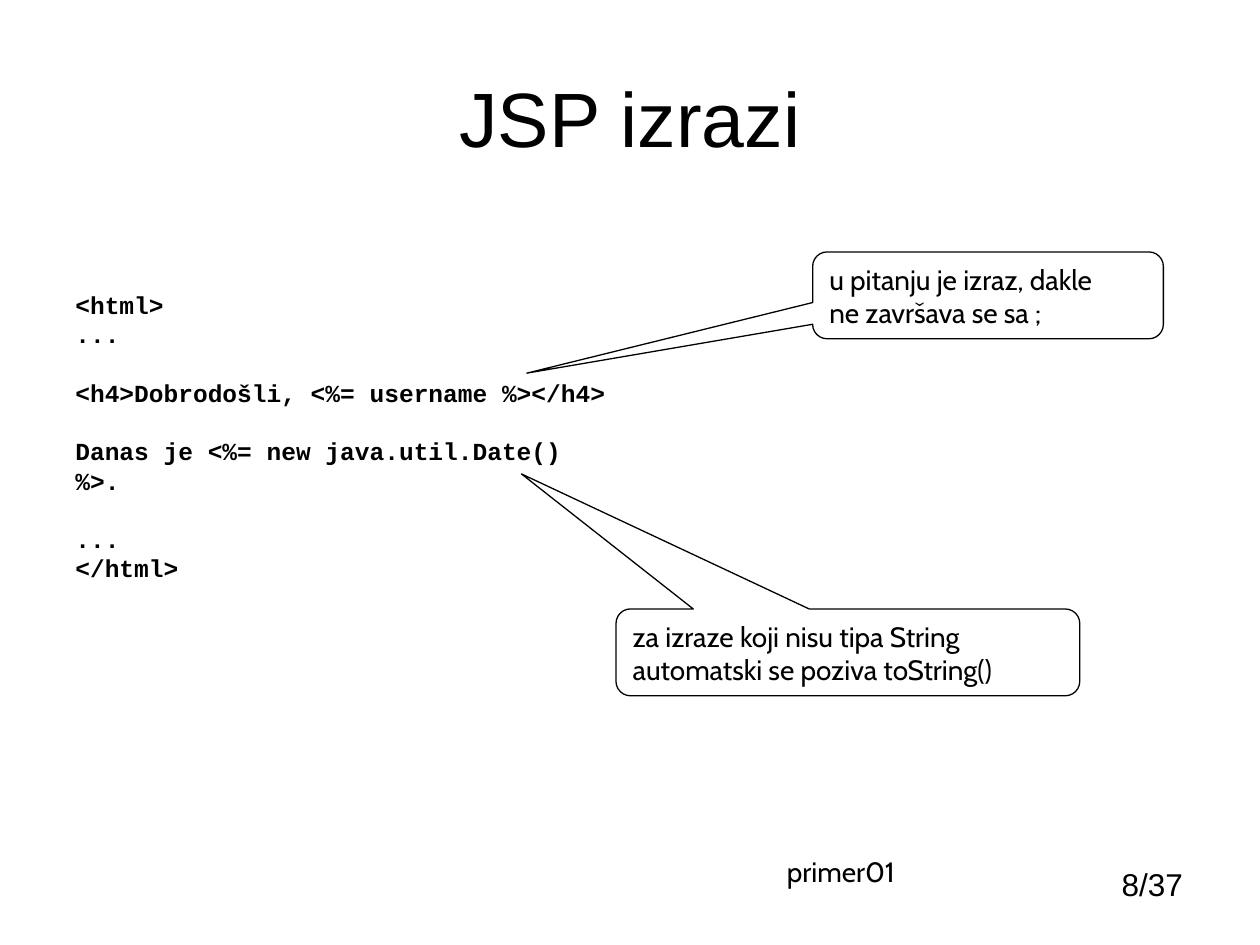
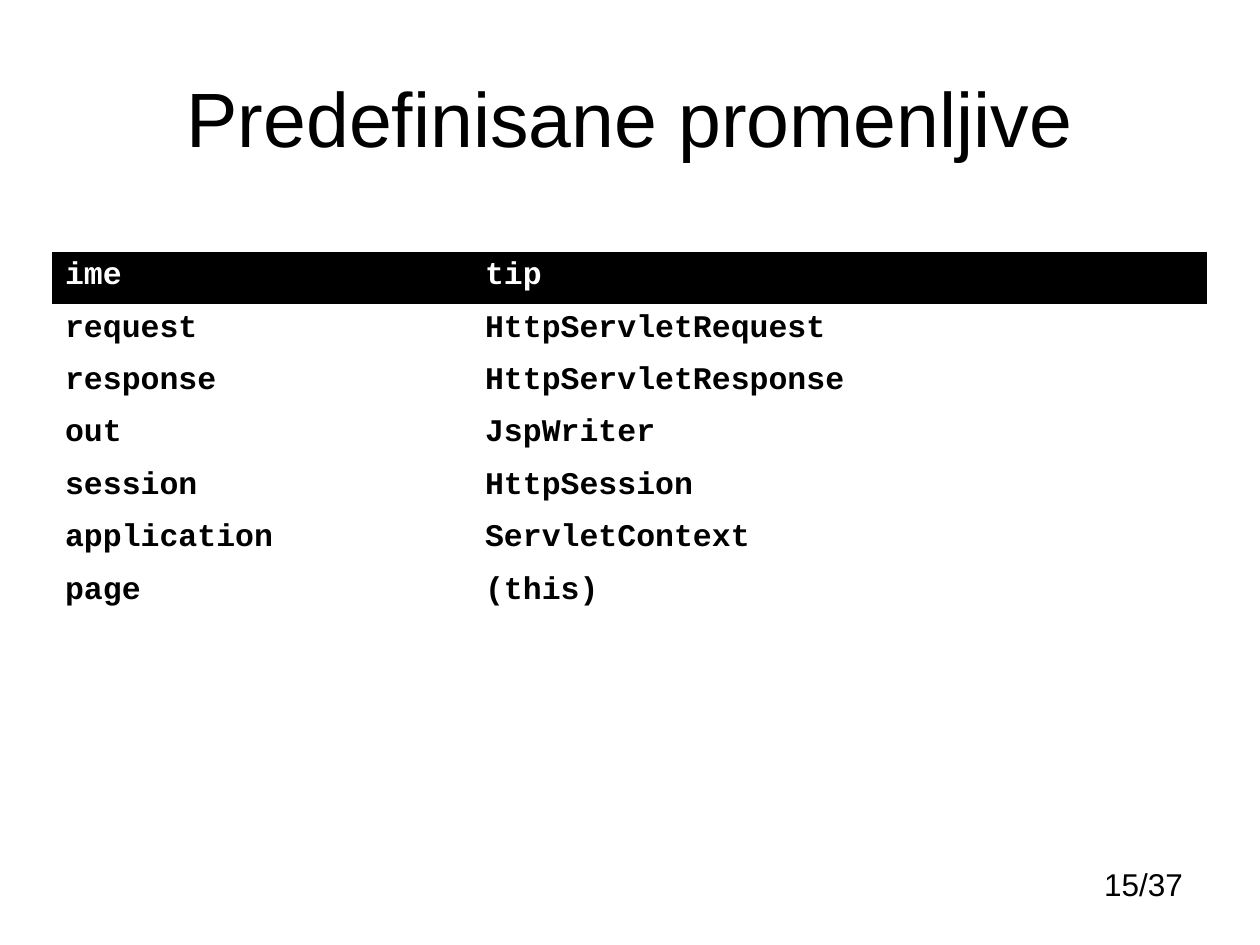
from pptx import Presentation
from pptx.dml.color import RGBColor
from pptx.enum.shapes import MSO_SHAPE
from pptx.enum.text import MSO_ANCHOR, PP_ALIGN
from pptx.util import Pt

BLACK, WHITE = "000000", "FFFFFF"
SANS, HAND, MONO = "Arial", "Cabin", "Courier New"
NO_STYLE_NO_GRID = "{2D5ABB26-0587-4C30-8999-92F81FD0307C}"


def color(hex_string):
    return RGBColor.from_string(hex_string)


def write(frame, lines, font, size, ink=BLACK, bold=False, align=PP_ALIGN.LEFT):
    frame.text = "\n".join(lines)
    frame.word_wrap = True
    for paragraph in frame.paragraphs:
        paragraph.alignment = align
        paragraph.font.name = font
        paragraph.font.size = Pt(size)
        paragraph.font.bold = bold
        paragraph.font.color.rgb = color(ink)


presentation = Presentation()
presentation.slide_width, presentation.slide_height = Pt(720), Pt(540)
title_only = presentation.slide_layouts[5]

# Titles and page numbers
slides = []
for title_text, page in [("JSP izrazi", "8/37"), ("Predefinisane promenljive", "15/37")]:
    slide = presentation.slides.add_slide(title_only)
    title = slide.shapes.title
    title.left, title.top, title.width, title.height = Pt(36), Pt(21.6), Pt(648), Pt(90)
    title.text_frame.vertical_anchor = MSO_ANCHOR.MIDDLE
    write(title.text_frame, [title_text], SANS, 44, align=PP_ALIGN.CENTER)
    page_box = slide.shapes.add_textbox(Pt(547), Pt(491), Pt(136), Pt(29))
    write(page_box.text_frame, [page], SANS, 18, align=PP_ALIGN.RIGHT)
    slides.append(slide)
expressions, variables = slides

# Code listing, with a line's gap before each new group
code_groups = [
    ["<html>", "..."],
    ["<h4>Dobrodošli, <%= username %></h4>"],
    ["Danas je <%= new java.util.Date() %>."],
    ["...", "</html>"],
]
line_height = Pt(16.75)
code_box = expressions.shapes.add_textbox(Pt(36), Pt(162), Pt(324), Pt(162))
code = code_box.text_frame
write(code, [line for group in code_groups for line in group], MONO, 14, bold=True)
code.word_wrap = False
for paragraph in code.paragraphs:
    paragraph.line_spacing = line_height
first_line = 0
for group in code_groups[:-1]:
    first_line += len(group)
    code.paragraphs[first_line].space_before = line_height

# Callouts: left, top, width, pointer position, lines
callouts = [
    (464.4, 144, 200.4, (-1.315, 0.896),
     ["u pitanju je izraz, dakle", "ne završava se sa ;"]),
    (352, 348, 265, (-0.704, -2.056),
     ["za izraze koji nisu tipa String", "automatski se poziva toString()"]),
]
for left, top, width, pointer, lines in callouts:
    callout = expressions.shapes.add_shape(
        MSO_SHAPE.ROUNDED_RECTANGULAR_CALLOUT, Pt(left), Pt(top), Pt(width), Pt(49.6))
    callout.adjustments[0], callout.adjustments[1] = pointer
    callout.shadow.inherit = False
    callout.fill.background()
    callout.line.color.rgb = color(BLACK)
    callout.line.width = Pt(0.75)
    callout.text_frame.vertical_anchor = MSO_ANCHOR.TOP
    write(callout.text_frame, lines, HAND, 16)

# Example name
example_box = expressions.shapes.add_textbox(Pt(442.6), Pt(484.6), Pt(83.5), Pt(26.6))
write(example_box.text_frame, ["primer01"], HAND, 16)

# Table of predefined variables
rows = [
    ("ime", "tip"),
    ("request", "HttpServletRequest"),
    ("response", "HttpServletResponse"),
    ("out", "JspWriter"),
    ("session", "HttpSession"),
    ("application", "ServletContext"),
    ("page", "(this)"),
]
table = variables.shapes.add_table(len(rows), 2, Pt(30), Pt(144), Pt(660), Pt(210)).table
table._tbl.tblPr[0].text = NO_STYLE_NO_GRID
table.horz_banding = False
table.columns[0].width, table.columns[1].width = Pt(240), Pt(420)
for row_index, values in enumerate(rows):
    is_header = row_index == 0
    table.rows[row_index].height = Pt(30)
    for column_index, value in enumerate(values):
        cell = table.cell(row_index, column_index)
        if is_header:
            cell.fill.solid()
            cell.fill.fore_color.rgb = color(BLACK)
        else:
            cell.fill.background()
        write(cell.text_frame, [value], MONO, 18, WHITE if is_header else BLACK, bold=True)

presentation.save("out.pptx")
